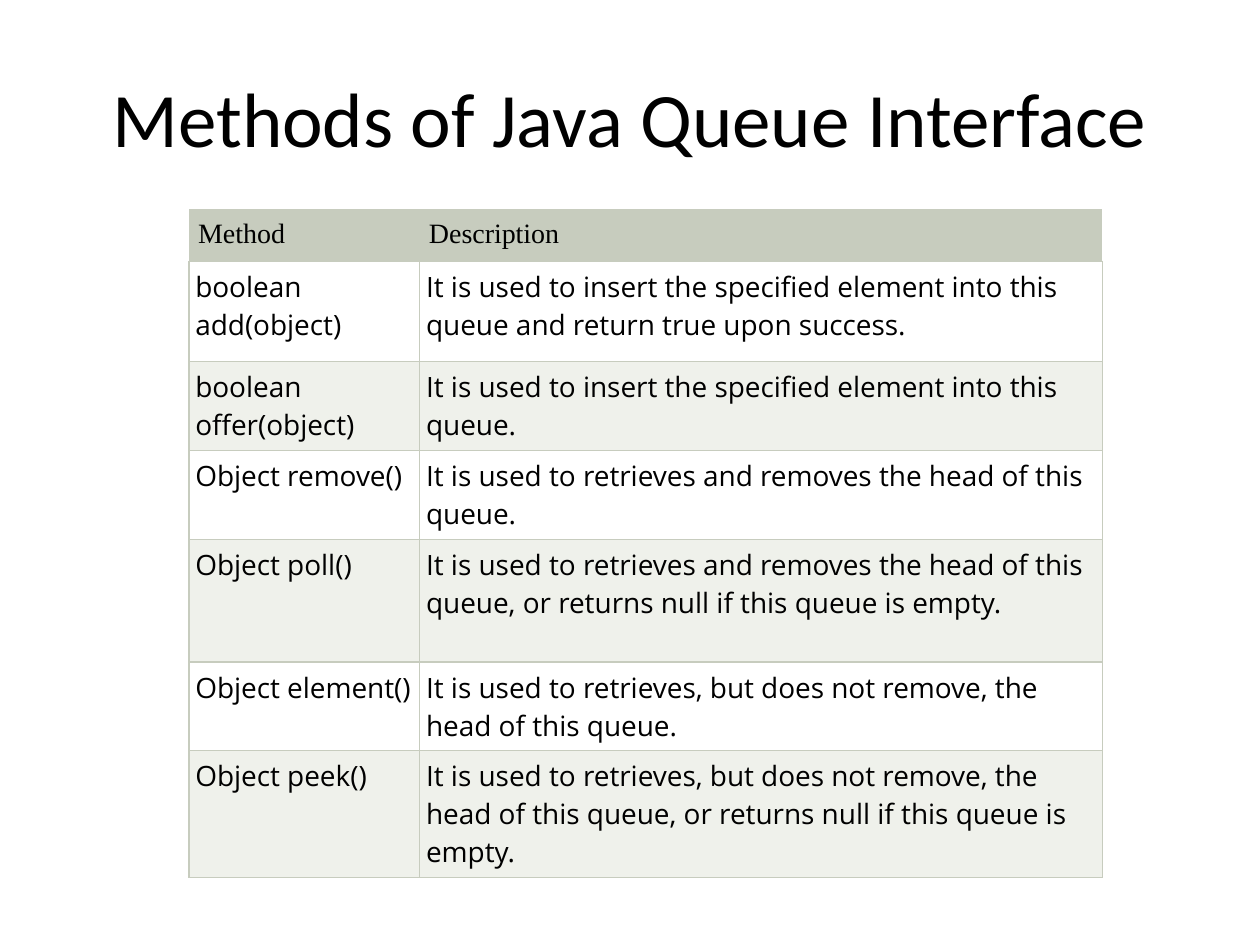
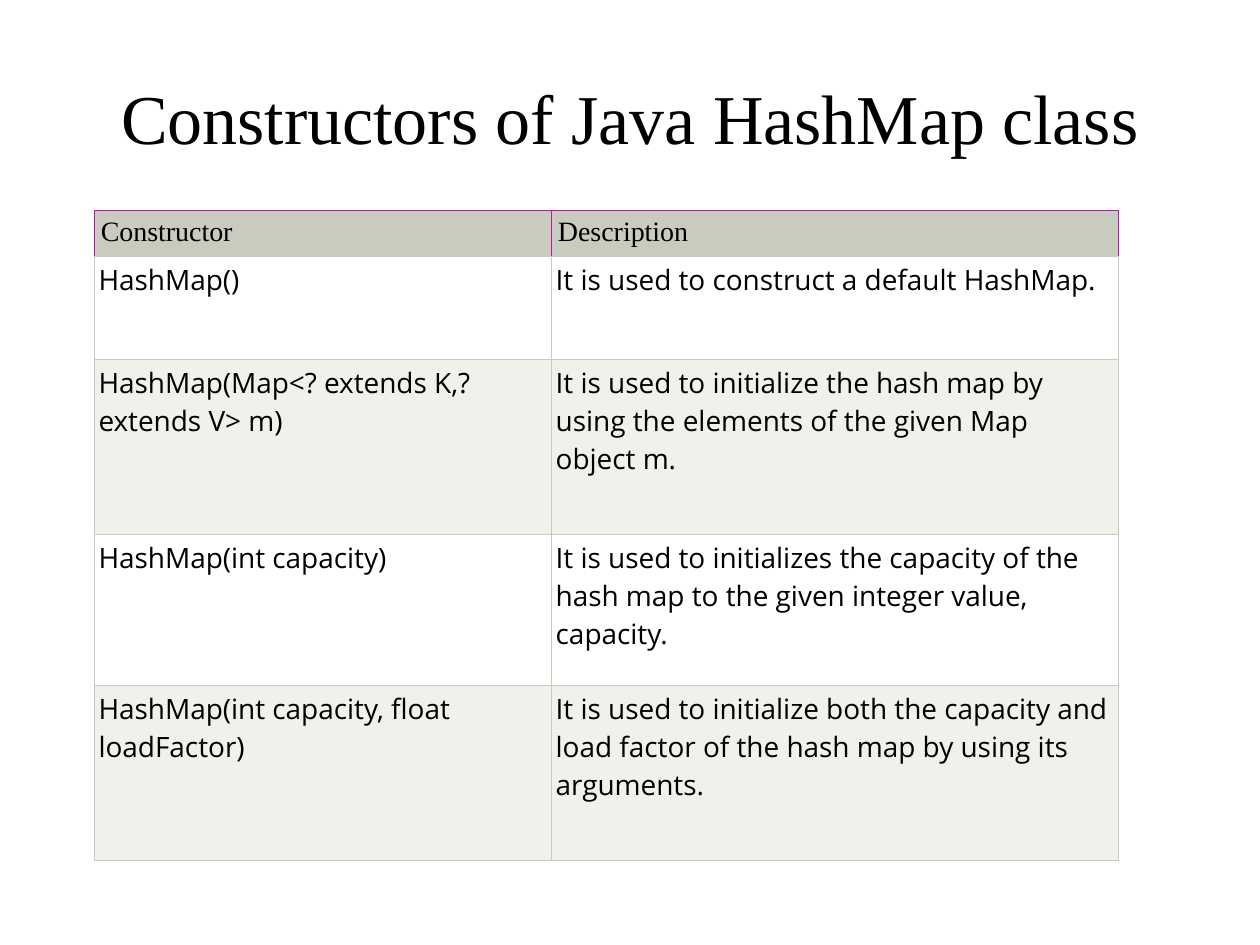
from collections import namedtuple

from lxml.etree import SubElement
from pptx import Presentation
from pptx.dml.color import RGBColor
from pptx.enum.text import MSO_ANCHOR as Anchor, PP_ALIGN as Align
from pptx.oxml.ns import qn
from pptx.util import Pt

BLACK = RGBColor(0x00, 0x00, 0x00)
WHITE = RGBColor(0xFF, 0xFF, 0xFF)
SAGE = RGBColor(0xC7, 0xCC, 0xBE)
PALE_SAGE = RGBColor(0xEF, 0xF1, 0xEB)
MAGENTA = RGBColor(0xC0, 0x14, 0xB1)

SERIF = "Times New Roman"
BODY_FONT = "Open Sans"
TEXT_SIZE = 16
BLANK_LAYOUT = 6
TITLE_BOX = (36, 21.6, 648, 90)
EDGES = ("lnL", "lnR", "lnT", "lnB")

TableStyle = namedtuple("TableStyle", "header_inset body_inset line_width header_edge")
METHODS_STYLE = TableStyle(5.25, 3.6, 0.75, None)
CONSTRUCTORS_STYLE = TableStyle(3.6, 2.3, 0.5, MAGENTA)

METHODS = [
    ("Method", "Description"),
    ("boolean add(object)",
     "It is used to insert the specified element into this queue and return true upon success."),
    ("boolean offer(object)",
     "It is used to insert the specified element into this queue."),
    ("Object remove()",
     "It is used to retrieves and removes the head of this queue."),
    ("Object poll()",
     "It is used to retrieves and removes the head of this queue, or returns null if this queue is empty."),
    ("Object element()",
     "It is used to retrieves, but does not remove, the head of this queue."),
    ("Object peek()",
     "It is used to retrieves, but does not remove, the head of this queue, "
     "or returns null if this queue is empty."),
]

CONSTRUCTORS = [
    ("Constructor", "Description"),
    ("HashMap()",
     "It is used to construct a default HashMap."),
    ("HashMap(Map<? extends K,? extends V> m)",
     "It is used to initialize the hash map by using the elements of the given Map object m."),
    ("HashMap(int capacity)",
     "It is used to initializes the capacity of the hash map to the given integer value, capacity."),
    ("HashMap(int capacity, float loadFactor)",
     "It is used to initialize both the capacity and load factor of the hash map by using its arguments."),
]


def set_font(paragraph, name, size):
    """Give a paragraph its typeface and size in plain black."""
    font = paragraph.font
    font.name, font.size, font.bold = name, Pt(size), False
    font.color.rgb = BLACK


def add_title(slide, box, text, font_name, size):
    """Centre a title in the given box."""
    frame = slide.shapes.add_textbox(*map(Pt, box)).text_frame
    frame.word_wrap = True
    frame.vertical_anchor = Anchor.MIDDLE
    paragraph = frame.paragraphs[0]
    paragraph.text = text
    paragraph.alignment = Align.CENTER
    set_font(paragraph, font_name, size)


def set_borders(cell, colors, width):
    """Draw the left, right, top and bottom borders, with None for no line."""
    properties = cell._tc.get_or_add_tcPr()
    for edge, color in zip(EDGES, colors):
        line = SubElement(properties, qn(f"a:{edge}"), w=str(Pt(width)))
        if color is None:
            SubElement(line, qn("a:noFill"))
        else:
            fill = SubElement(line, qn("a:solidFill"))
            SubElement(fill, qn("a:srgbClr"), val=str(color))


def format_cell(cell, text, row_index, style):
    """Fill one cell with text, borders and the colour of its row."""
    is_header = row_index == 0
    inset = Pt(style.header_inset if is_header else style.body_inset)
    cell.margin_left = cell.margin_right = inset
    cell.margin_top = cell.margin_bottom = inset
    cell.text = text
    set_font(cell.text_frame.paragraphs[0], SERIF if is_header else BODY_FONT, TEXT_SIZE)
    side = style.header_edge if is_header else SAGE
    top = SAGE if row_index == 1 else side
    set_borders(cell, (side, side, top, SAGE), style.line_width)
    cell.fill.solid()
    if is_header:
        cell.fill.fore_color.rgb = SAGE
    else:
        cell.fill.fore_color.rgb = WHITE if row_index % 2 else PALE_SAGE


def add_reference_table(slide, left, top, widths, heights, rows, style):
    """Place a two-column reference table with its corner at left and top."""
    box = map(Pt, (left, top, sum(widths), sum(heights)))
    table = slide.shapes.add_table(len(rows), len(widths), *box).table
    table.first_row = table.horz_banding = False
    for column, width in zip(table.columns, widths):
        column.width = Pt(width)
    for row_index, (row, height, texts) in enumerate(zip(table.rows, heights, rows)):
        row.height = Pt(height)
        for cell, text in zip(row.cells, texts):
            format_cell(cell, text, row_index, style)


def add_methods_slide(presentation):
    """Add the slide on the methods of the queue interface."""
    slide = presentation.slides.add_slide(presentation.slide_layouts[BLANK_LAYOUT])
    add_title(slide, TITLE_BOX, "Methods of Java Queue Interface", "Calibri", 44)
    heights = (28.5, 57.5, 50.7, 50.7, 70.2, 50.7, 72.4)
    add_reference_table(slide, 108, 119.5, (131.9, 390.1), heights, METHODS, METHODS_STYLE)


def add_constructors_slide(presentation):
    """Add the slide on the constructors of the hash map."""
    slide = presentation.slides.add_slide(presentation.slide_layouts[BLANK_LAYOUT])
    add_title(slide, TITLE_BOX, "Constructors of Java HashMap class", SERIF, 40)
    heights = (25.2, 58.8, 100, 86.4, 99.6)
    add_reference_table(slide, 54, 120.25, (261.25, 324), heights, CONSTRUCTORS, CONSTRUCTORS_STYLE)


def main():
    """Build and save the presentation."""
    presentation = Presentation()
    presentation.slide_width, presentation.slide_height = Pt(720), Pt(540)
    add_methods_slide(presentation)
    add_constructors_slide(presentation)
    presentation.save("out.pptx")


if __name__ == "__main__":
    main()
